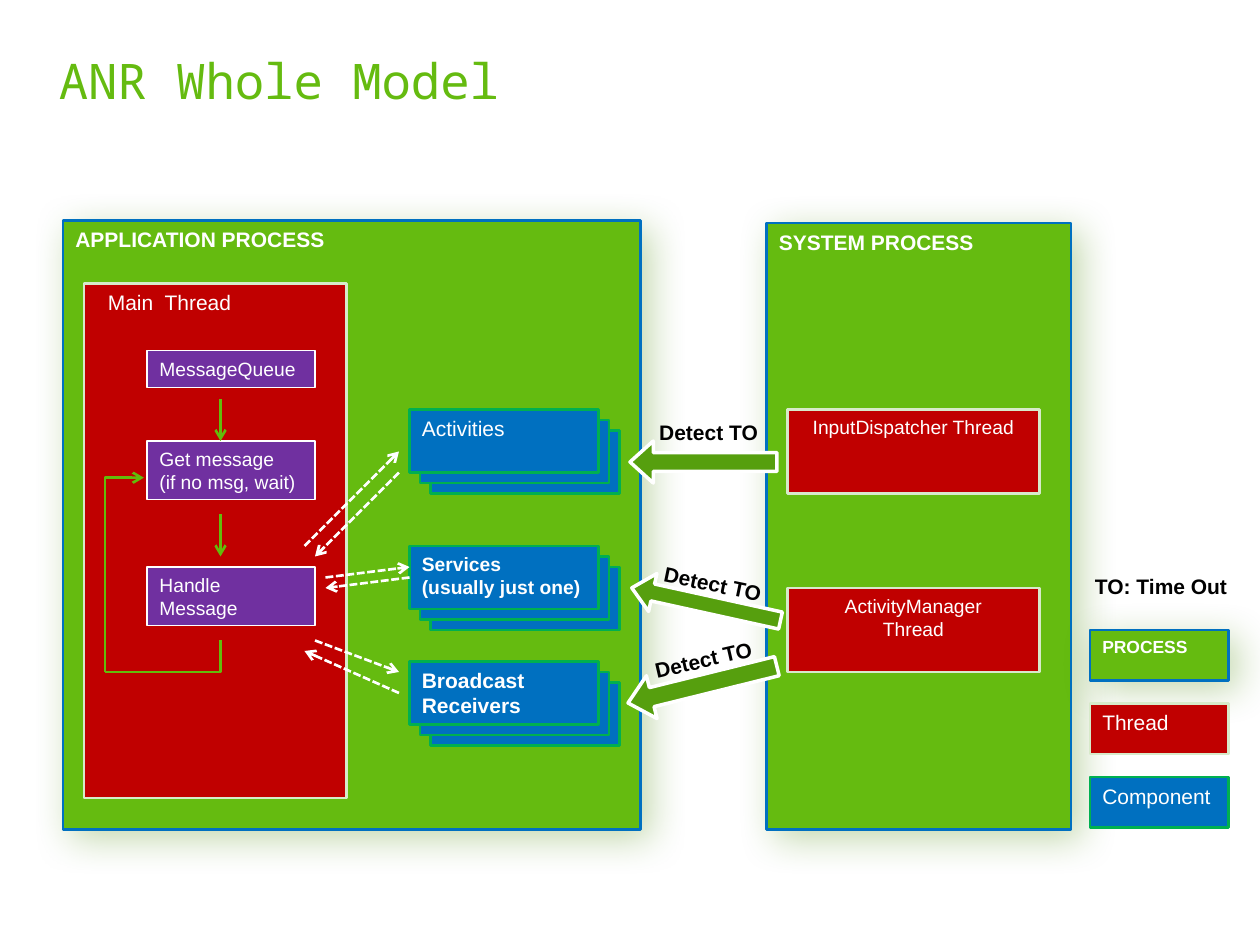
import pptx
import pptx.dml.color
import pptx.enum.dml
import pptx.enum.shapes
import pptx.enum.text
import pptx.oxml
import pptx.oxml.ns
import pptx.util

COLUMNS, ROWS = 120, 90
CELL = pptx.util.Inches(10) // COLUMNS

THEME = {
    "fonts": {"body": "Arial", "title": "Noto Sans Mono"},
    "sizes": {"title": 28, "body": 12, "small": 11, "key": 10},
    "colours": {"title": "65BB10", "light": "FFFFFF", "dark": "000000",
                "flow": "63BB0B", "shadow": "4C8C0C"},
    # fill, line, line width
    "boxes": {"process": ("65BB10", "0070C0", 1.5),
              "thread": ("C00000", "D7EACA", 1.5),
              "step": ("7030A0", "FFFFFF", 0.75),
              "component": ("0070C0", "00B050", 1.5),
              "detection": ("569F0E", "FFFFFF", 2)},
}
SHAPES = pptx.enum.shapes.MSO_SHAPE
CONNECTORS = pptx.enum.shapes.MSO_CONNECTOR
ALIGN = pptx.enum.text.PP_ALIGN
ANCHOR = pptx.enum.text.MSO_ANCHOR


def rgb(value):
    return pptx.dml.color.RGBColor.from_string(value)


def set_all(target, values):
    for name, value in values.items():
        setattr(target, name, value)


def drawing_xml(text):
    return pptx.oxml.parse_xml(text.replace(">", f' {pptx.oxml.ns.nsdecls("a")}>', 1))


def within(box, left, top, width, height):
    """Turn cells counted from the corner of a box into cells of the slide."""
    return box[0] + left, box[1] + top, width, height


def lengths(cells):
    return [round(cell * CELL) for cell in cells]


def write(shape, text, size="body", bold=False, colour="light", font="body",
          align=ALIGN.LEFT, **frame_values):
    frame = shape.text_frame
    set_all(frame, {"word_wrap": True, "vertical_anchor": ANCHOR.TOP, **frame_values})
    frame.text = text
    for paragraph in frame.paragraphs:
        paragraph.alignment = align
        for run in paragraph.runs:
            set_all(run.font, {"name": THEME["fonts"][font], "bold": bold,
                               "size": pptx.util.Pt(THEME["sizes"][size])})
            run.font.color.rgb = rgb(THEME["colours"][colour])


def add_box(slide, cells, style, text="", preset=SHAPES.RECTANGLE, **text_values):
    shape = slide.shapes.add_shape(preset, *lengths(cells))
    fill, line, width = THEME["boxes"][style]
    shape.shadow.inherit = False
    shape.fill.solid()
    shape.fill.fore_color.rgb = rgb(fill)
    shape.line.color.rgb = rgb(line)
    shape.line.width = pptx.util.Pt(width)
    if text:
        write(shape, text, **text_values)
    return shape


def add_process(slide, cells, text, **text_values):
    """A process box is the only kind with a soft shadow."""
    shape = add_box(slide, cells, "process", text, bold=True, **text_values)
    effects = shape._element.spPr.find(pptx.oxml.ns.qn("a:effectLst"))
    effects.append(drawing_xml(
        f'<a:outerShdw blurRad="{pptx.util.Pt(22)}" dist="{pptx.util.Pt(7)}" '
        f'dir="2700000" algn="tl" rotWithShape="0"><a:srgbClr val="{THEME["colours"]["shadow"]}">'
        '<a:alpha val="32000"/></a:srgbClr></a:outerShdw>'))


def add_label(slide, cells, text, **text_values):
    label = slide.shapes.add_textbox(*lengths(cells))
    write(label, text, **text_values)
    return label


def add_line(slide, box, start, end, colour="flow", bend=None, dashed=False, arrow=True):
    """Join two cells of a box; bend is the share of the width where an elbow turns."""
    kind = CONNECTORS.STRAIGHT if bend is None else CONNECTORS.ELBOW
    ends = [box[index % 2] + cell for index, cell in enumerate(start + end)]
    connector = slide.shapes.add_connector(kind, *lengths(ends))
    connector.line.color.rgb = rgb(THEME["colours"][colour])
    connector.line.width = pptx.util.Pt(1.5)
    properties = connector._element.spPr
    if dashed:
        connector.line.dash_style = pptx.enum.dml.MSO_LINE.SQUARE_DOT
    if arrow:
        connector.line._get_or_add_ln().append(drawing_xml('<a:tailEnd type="arrow"></a:tailEnd>'))
    if bend is not None:
        guides = properties.find(".//" + pptx.oxml.ns.qn("a:avLst"))
        guides.append(drawing_xml(f'<a:gd name="adj1" fmla="val {bend * 100000}"></a:gd>'))
    properties.append(drawing_xml("<a:effectLst></a:effectLst>"))


def add_title(slide, box):
    add_label(slide, box, "ANR Whole Model", size="title", colour="title", font="title",
              vertical_anchor=ANCHOR.MIDDLE, margin_left=0, margin_right=0,
              margin_top=0, margin_bottom=0)


def add_main_thread(slide, box):
    add_box(slide, box, "thread", "Main  Thread", margin_left=pptx.util.Inches(0.19))
    for top, height, text in ((6.4, 3.5, "MessageQueue"),
                              (15, 5.6, "Get message\v(if no msg, wait)"),
                              (27, 5.6, "Handle\vMessage")):
        add_box(slide, within(box, 6, top, 16, height), "step", text, size="small")
    for top in (11, 22):
        add_line(slide, box, (13, top), (13, top + 4))
    add_line(slide, box, (2, 37), (5.7, 18.5), bend=0)
    add_line(slide, box, (2, 37), (13, 34), bend=1, arrow=False)


def add_component_stack(slide, box, text, **text_values):
    for offset in (2, 1, 0):
        add_box(slide, within(box, offset, offset, *box[2:]), "component",
                "" if offset else text, **text_values)


def add_application(slide, box):
    add_process(slide, box, "APPLICATION PROCESS")
    add_main_thread(slide, within(box, 2, 6, 25, 49))
    for top, text, text_values in (
            (18, "Activities", {}),
            (31, "Services\n(usually just one)", {"size": "small", "bold": True}),
            (42, "Broadcast\vReceivers", {"bold": True})):
        add_component_stack(slide, within(box, 33, top, 18, 6), text, **text_values)
    for start, end in (((23, 31), (32, 22)), ((32, 24), (24, 32)),
                       ((25, 34), (33, 33)), ((33, 34), (25, 35)),
                       ((24, 40), (32, 43)), ((32, 45), (23, 41))):
        add_line(slide, box, start, end, colour="light", dashed=True)


def add_system(slide, box):
    add_process(slide, box, "SYSTEM PROCESS")
    for top, text in ((17.75, "InputDispatcher Thread"), (34.75, "ActivityManager\nThread")):
        add_box(slide, within(box, 2, top, 24, 8), "thread", text,
                size="small", align=ALIGN.CENTER)


def add_detections(slide, box):
    for arrow_cells, arrow_turn, label_corner, label_turn in (
            ((0, 3, 14, 4), 0, (1.6, 0.4), 0),
            ((0, 16.7, 14.5, 3.7), 12.4, (2, 14.8), 11.7),
            ((-0.4, 24.1, 14.6, 4.2), -13.9, (1.1, 22), -13)):
        arrow = add_box(slide, within(box, *arrow_cells), "detection", preset=SHAPES.LEFT_ARROW)
        arrow.adjustments[0], arrow.adjustments[1] = 0.446, 0.554
        arrow.rotation = arrow_turn
        label = add_label(slide, within(box, *label_corner, 11.9, 3.6), "Detect TO",
                          bold=True, colour="dark", word_wrap=False)
        label.rotation = label_turn


def add_legend(slide, box):
    add_label(slide, within(box, -0.7, 0, 15.2, 3.6), "TO: Time Out",
              bold=True, colour="dark", word_wrap=False)
    rows = [within(box, 0, top, box[2], 4.8) for top in (6, 13, 20)]
    add_process(slide, rows[0], "PROCESS", size="key")
    add_box(slide, rows[1], "thread", "Thread")
    add_box(slide, rows[2], "component", "Component")


def main():
    presentation = pptx.Presentation()
    set_all(presentation, {"slide_width": COLUMNS * CELL, "slide_height": ROWS * CELL})
    slide = presentation.slides.add_slide(presentation.slide_layouts[6])
    add_title(slide, (5.6, 4.2, 108.8, 6.8))
    add_application(slide, (6, 21, 55, 58))
    add_system(slide, (73, 21.25, 29, 57.75))
    add_detections(slide, (60, 39, 14, 29))
    add_legend(slide, (103.8, 54, 13.2, 25))
    presentation.save("out.pptx")


if __name__ == "__main__":
    main()
